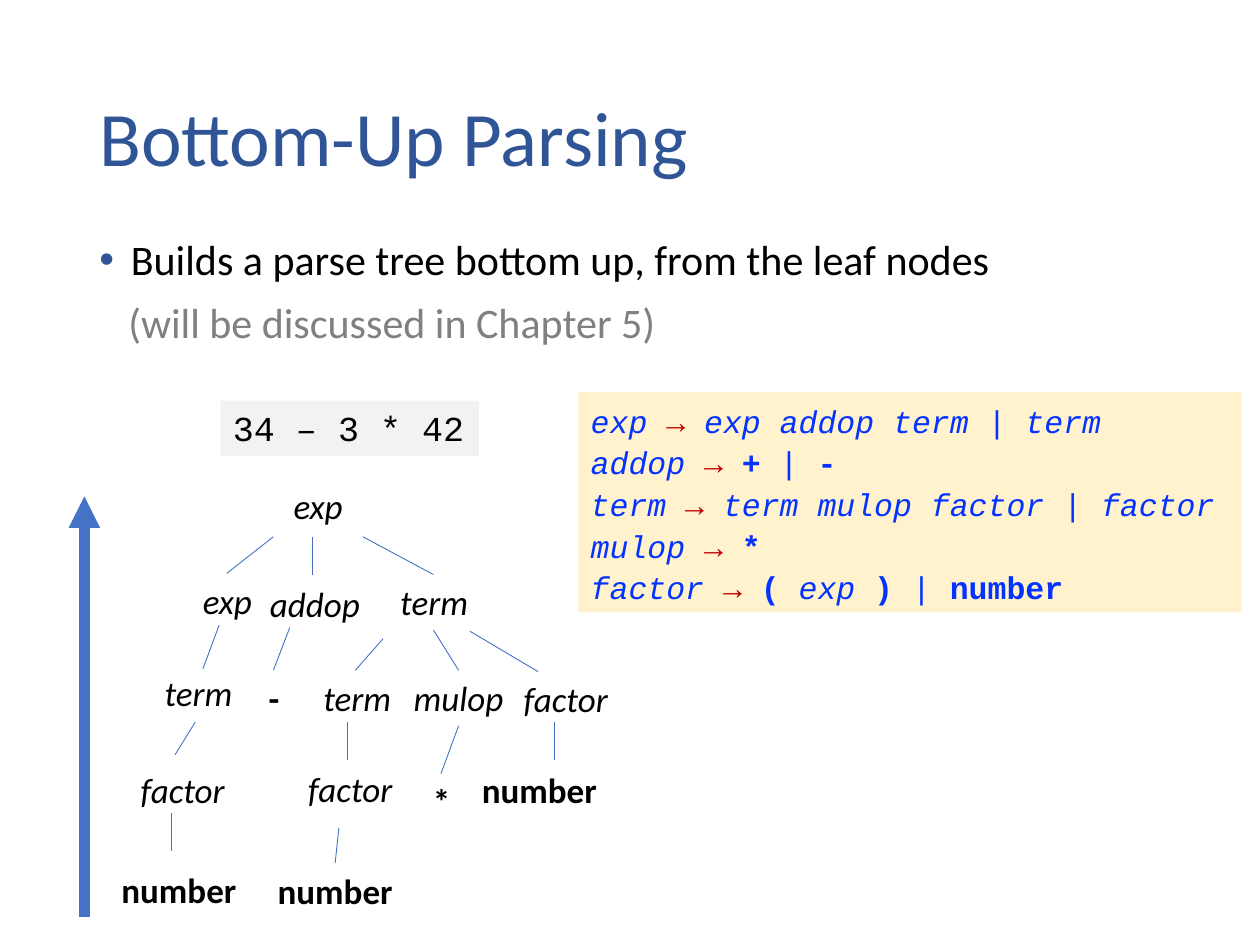
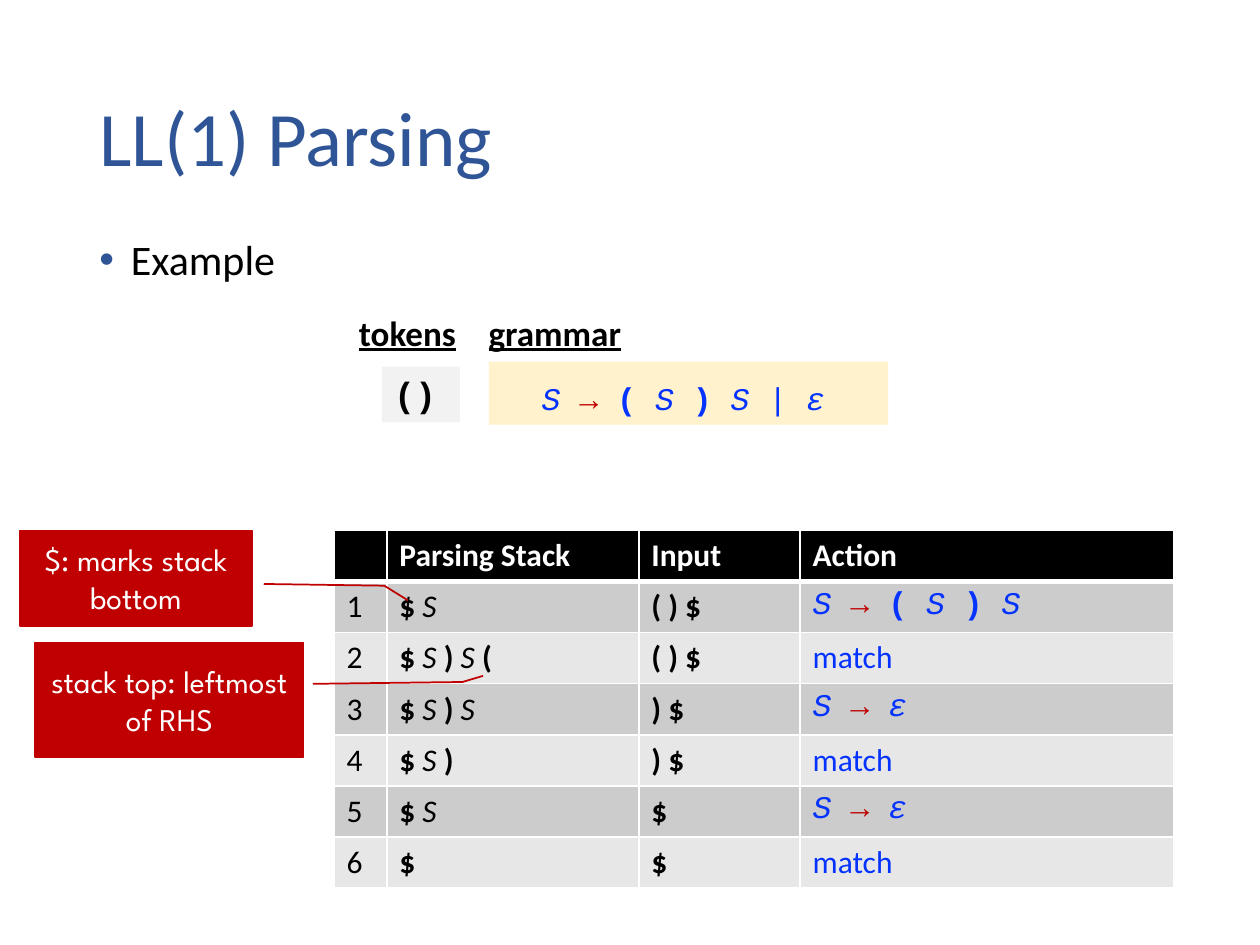
import pptx
import pptx.util
import pptx.dml.color
import pptx.enum.shapes
import pptx.enum.text
import pptx.oxml
import pptx.oxml.ns

PX = 9144
COLORS = {"title": "2F5597", "ink": "000000", "muted": "808080", "branch": "4472C4",
          "symbol": "0432FF", "arrow": "C00000", "callout": "C00000", "code": "F2F2F2",
          "grammar": "FFF2CC", "white": "FFFFFF", "odd": "CCCCCC", "even": "E7E7E7"}
ALIGN = pptx.enum.text.PP_ALIGN
ANCHOR = pptx.enum.text.MSO_ANCHOR
SHAPE = pptx.enum.shapes.MSO_SHAPE

TITLE = {"name": "Calibri", "size": 44, "color": "title"}
BODY = {"name": "Calibri", "size": 24, "color": "ink"}
LABEL = {"name": "Calibri", "size": 20, "color": "ink"}
CELL = {"name": "Calibri", "size": 18, "color": "ink"}
CODE = {"name": "Courier New", "size": 20, "color": "ink"}
RULE = {"name": "Courier New", "size": 18, "color": "symbol"}
NOTE = {"name": "League Spartan", "size": 18, "color": "white"}
HEADING = {**LABEL, "bold": True, "underline": True}

VARIABLES = {"exp", "term", "factor", "addop", "mulop", "S", "ε"}
PLAIN = {"|", "match"}

EXPRESSION_GRAMMAR = ["exp → exp addop term | term", "addop → + | -",
                      "term → term mulop factor | factor", "mulop → *",
                      "factor → ( exp ) | number"]
NODE_WIDTHS = {"exp": 59, "term": 75, "factor": 88, "addop": 106, "mulop": 98,
               "number": 112, "-": 39, "*": 39}
TREE_NODES = [
    ("exp", 252, 380),
    ("exp", 180, 455), ("addop", 250, 457), ("term", 344, 456),
    ("term", 157, 528), ("-", 217, 532), ("term", 283, 532), ("mulop", 364, 532), ("factor", 449, 533),
    ("factor", 145, 605), ("factor", 278, 604), ("*", 350, 614), ("number", 428, 605),
    ("number", 142, 684), ("number", 266, 685),
]
TREE_BRANCHES = [
    (217, 426, 180, 455), (248, 426, 248, 456), (288, 426, 344, 456),
    (174, 496, 161, 531), (230, 498, 217, 532),
    (304, 507, 282, 532), (344, 500, 364, 532), (373, 501, 427, 533),
    (155, 573, 139, 599), (276, 573, 276, 603), (364, 576, 350, 614), (440, 573, 440, 603),
    (136, 645, 136, 675), (269, 657, 266, 685),
]

STACK_HEADER = ["", "Parsing Stack", "Input", "Action"]
STACK_STEPS = [
    ("$ S", "( ) $", "S → ( S ) S"),
    ("$ S ) S (", "( ) $", "match"),
    ("$ S ) S", ") $", "S → ε"),
    ("$ S )", ") $", "match"),
    ("$ S", "$", "S → ε"),
    ("$", "$", "match"),
]
STACK_COLUMNS = [42, 200, 128, 297]
STACK_BOX = (265, 421, 667, 284)
CALLOUTS = [
    ("stack top: leftmost of RHS", (28, 510, 213, 91), (0.36, 1.035, 0.344, 1.592, 0.29, 1.669)),
    ("$: marks stack bottom", (16, 421, 184, 76), (0.56, 1.051, 0.578, 1.571, 0.731, 1.673)),
]


def emu(lengths):
    return [length * PX for length in lengths]


def rgb(name):
    return pptx.dml.color.RGBColor.from_string(COLORS[name])


def set_font(font, values):
    for key, value in values.items():
        if key == "color":
            font.color.rgb = rgb(value)
        else:
            setattr(font, key, pptx.util.Pt(value) if key == "size" else value)


def symbols(line, base):
    words = line.split()
    runs = []
    for index, word in enumerate(words):
        style = dict(base)
        if word == "→":
            style["color"] = "arrow"
        elif word in VARIABLES:
            style["italic"] = True
        elif word not in PLAIN:
            style["bold"] = True
        runs.append((word + (" " if index < len(words) - 1 else ""), style))
    return runs


def write(frame, lines, **paragraph_format):
    for index, runs in enumerate(lines):
        paragraph = frame.paragraphs[0] if index == 0 else frame.add_paragraph()
        for key, value in paragraph_format.items():
            setattr(paragraph, key, value)
        for text, style in runs:
            run = paragraph.add_run()
            run.text = text
            set_font(run.font, style)


def add_text(slide, box, lines, wrap=True, anchor=ANCHOR.TOP, **paragraph_format):
    frame = slide.shapes.add_textbox(*emu(box)).text_frame
    frame.word_wrap = wrap
    frame.vertical_anchor = anchor
    write(frame, lines, **paragraph_format)
    return frame


def add_panel(slide, box, color, kind=SHAPE.RECTANGLE, outlined=False):
    shape = slide.shapes.add_shape(kind, *emu(box))
    shape.shadow.inherit = False
    shape.fill.solid()
    shape.fill.fore_color.rgb = rgb(color)
    if outlined:
        shape.line.color.rgb = rgb(color)
        shape.line.width = pptx.util.Pt(1)
    else:
        shape.line.fill.background()
    return shape


def add_code(slide, box, text, **style):
    frame = add_panel(slide, box, "code").text_frame
    frame.word_wrap = True
    frame.vertical_anchor = ANCHOR.TOP
    write(frame, [[(text, {**CODE, **style})]], alignment=ALIGN.LEFT)


def add_line(slide, ends, width, arrow=False):
    connector = slide.shapes.add_connector(pptx.enum.shapes.MSO_CONNECTOR.STRAIGHT, *emu(ends))
    connector.line.color.rgb = rgb("branch")
    connector.line.width = pptx.util.Pt(width)
    properties = connector.element.spPr
    if arrow:
        head = pptx.oxml.parse_xml(f'<a:headEnd {pptx.oxml.ns.nsdecls("a")} type="triangle"/>')
        properties.find(pptx.oxml.ns.qn("a:ln")).append(head)
    properties.append(pptx.oxml.parse_xml(f'<a:effectLst {pptx.oxml.ns.nsdecls("a")}/>'))


def indent(paragraph, left, hanging=0):
    properties = paragraph._p.get_or_add_pPr()
    properties.set("marL", str(left * PX))
    properties.set("indent", str(-hanging * PX))
    return properties


def start_slide(presentation, title, lines):
    slide = presentation.slides.add_slide(presentation.slide_layouts[6])
    add_text(slide, (69, 40, 862, 145), [[(title, TITLE)]], anchor=ANCHOR.MIDDLE, line_spacing=0.9)
    frame = add_text(slide, (69, 185, 931, 114), lines, line_spacing=0.9)
    bullet = indent(frame.paragraphs[0], 25, 25)
    declarations = pptx.oxml.ns.nsdecls("a")
    for element in (f'<a:buClr {declarations}><a:srgbClr val="{COLORS["title"]}"/></a:buClr>',
                    f'<a:buFont {declarations} typeface="Arial"/>',
                    f'<a:buChar {declarations} char="•"/>'):
        bullet.append(pptx.oxml.parse_xml(element))
    for paragraph in frame.paragraphs[1:]:
        indent(paragraph, 23)
        paragraph.space_before = pptx.util.Pt(10)
    return slide


def set_borders(cell, top, bottom):
    properties = cell._tc.get_or_add_tcPr()
    for index, (side, width) in enumerate((("L", 1), ("R", 1), ("T", top), ("B", bottom))):
        properties.insert(index, pptx.oxml.parse_xml(
            f'<a:ln{side} {pptx.oxml.ns.nsdecls("a")} w="{pptx.util.Pt(width)}"><a:solidFill>'
            f'<a:srgbClr val="{COLORS["white"]}"/></a:solidFill></a:ln{side}>'))


def add_stack_table(slide):
    header_style = {**CELL, "color": "white", "bold": True}
    rows = [[[(text, header_style)] if text else [] for text in STACK_HEADER]]
    for number, (stack, tokens, action) in enumerate(STACK_STEPS, 1):
        action_style = {**CELL, "color": "symbol"} if action == "match" else RULE
        rows.append([[(str(number), CELL)], symbols(stack, CELL),
                     symbols(tokens, CELL), symbols(action, action_style)])
    table = slide.shapes.add_table(len(rows), len(STACK_COLUMNS), *emu(STACK_BOX)).table
    table.first_row = table.horz_banding = False
    for column, width in zip(table.columns, emu(STACK_COLUMNS)):
        column.width = width
    for row_index, row in enumerate(rows):
        fill = "ink" if row_index == 0 else "odd" if row_index % 2 else "even"
        for column_index, runs in enumerate(row):
            cell = table.cell(row_index, column_index)
            cell.fill.solid()
            cell.fill.fore_color.rgb = rgb(fill)
            set_borders(cell, 3 if row_index == 1 else 1, 3 if row_index == 0 else 1)
            write(cell.text_frame, [runs])
            if not runs:
                set_font(cell.text_frame.paragraphs[0].font, header_style)


def build_bottom_up(presentation):
    slide = start_slide(presentation, "Bottom-Up Parsing", [
        [("Builds a parse tree bottom up, from the leaf nodes", BODY)],
        [("(will be discussed in Chapter 5)", {**BODY, "color": "muted"})]])
    for branch in TREE_BRANCHES:
        add_line(slide, branch, 0.5)
    for word, center, top in TREE_NODES:
        width = NODE_WIDTHS[word]
        add_text(slide, (center - width // 2, top, width, 44), [symbols(word, LABEL)],
                 wrap=False, alignment=ALIGN.CENTER)
    add_line(slide, (67, 394, 67, 728), 6, arrow=True)
    add_code(slide, (175, 318, 205, 44), "34 – 3 * 42")
    grammar_box = (459, 311, 526, 175)
    add_panel(slide, grammar_box, "grammar")
    add_text(slide, grammar_box, [symbols(line, RULE) for line in EXPRESSION_GRAMMAR], line_spacing=1.1)


def build_ll1(presentation):
    slide = start_slide(presentation, "LL(1) Parsing", [[("Example", BODY)]])
    add_code(slide, (303, 291, 62, 44), "()", bold=True)
    add_panel(slide, (388, 287, 317, 50), "grammar")
    add_text(slide, (420, 293, 285, 43), [symbols("S → ( S ) S | ε", RULE)], line_spacing=1.1)
    add_stack_table(slide)
    for text, box, adjustments in CALLOUTS:
        callout = add_panel(slide, box, "callout", SHAPE.LINE_CALLOUT_2, outlined=True)
        for index, value in enumerate(adjustments):
            callout.adjustments[index] = value
        callout.text_frame.word_wrap = True
        callout.text_frame.vertical_anchor = ANCHOR.MIDDLE
        write(callout.text_frame, [[(text, NOTE)]], alignment=ALIGN.CENTER)
    for text, left, width in (("tokens", 275, 98), ("grammar", 378, 126)):
        add_text(slide, (left, 242, width, 44), [[(text, HEADING)]], wrap=False)


def main():
    presentation = pptx.Presentation()
    presentation.slide_width, presentation.slide_height = emu((1000, 750))
    build_bottom_up(presentation)
    build_ll1(presentation)
    presentation.save("out.pptx")


if __name__ == "__main__":
    main()
